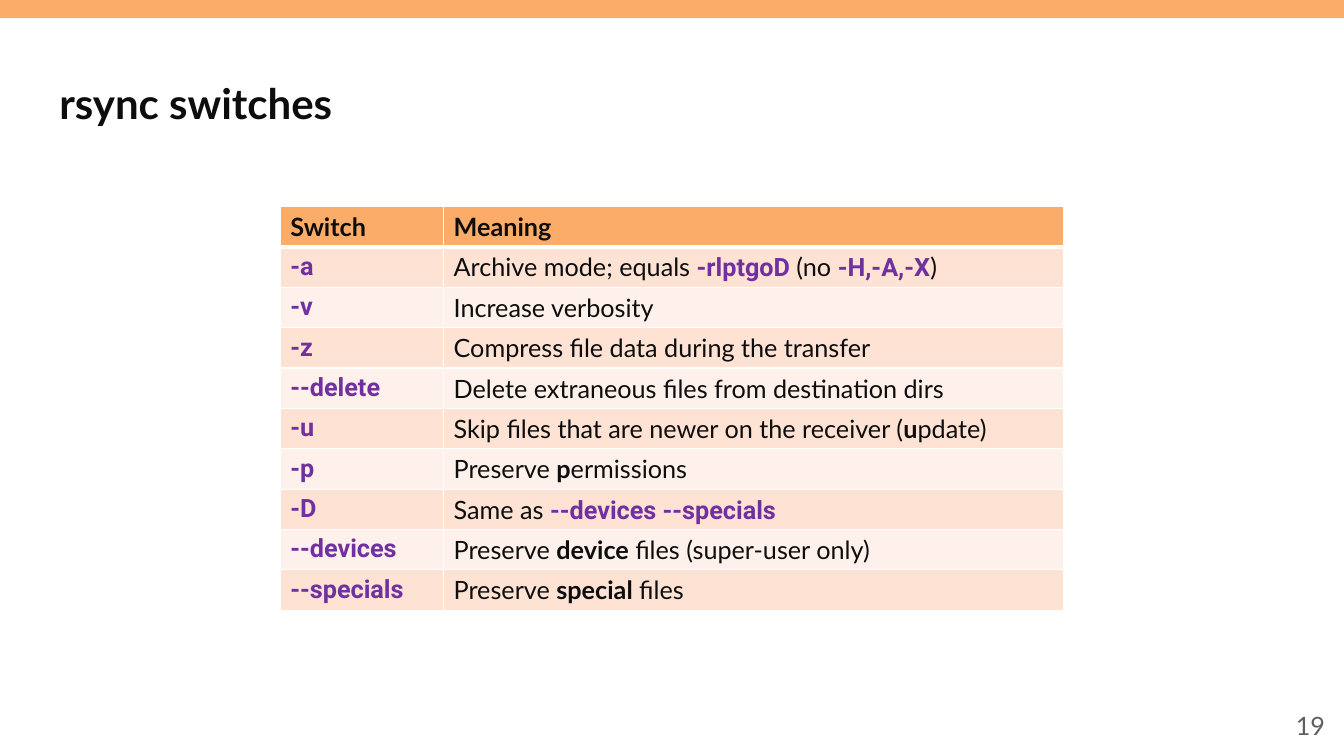
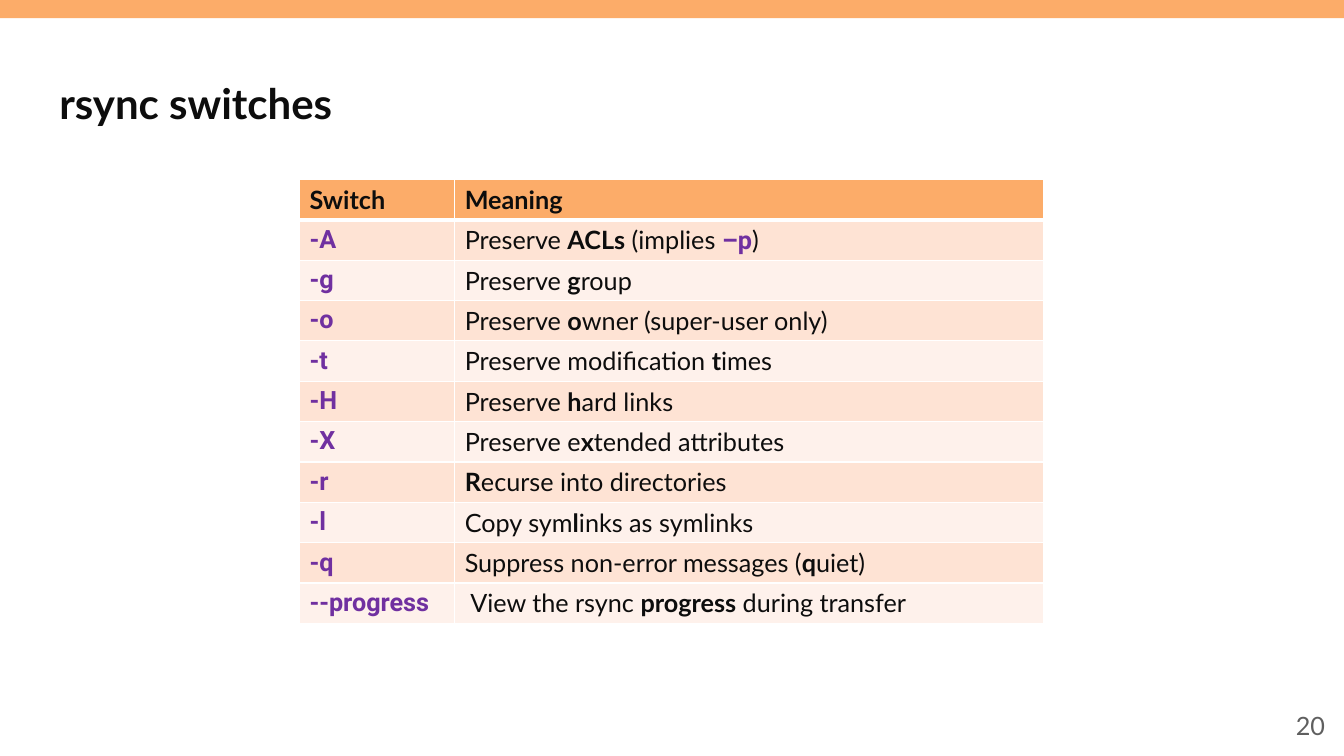
from lxml import etree
from pptx import Presentation
from pptx.dml.color import RGBColor
from pptx.enum.shapes import MSO_SHAPE
from pptx.enum.text import MSO_ANCHOR, PP_ALIGN
from pptx.oxml.ns import qn
from pptx.util import Inches, Pt

RECT = MSO_SHAPE.RECTANGLE
MIDDLE = MSO_ANCHOR.MIDDLE
LEFT, RIGHT = PP_ALIGN.LEFT, PP_ALIGN.RIGHT

WIDE, HIGH = 13.33, 7.5
ORANGE, WHITE = "FCAC69", "FFFFFF"
BANDS = ("FEE3D4", "FEF1EB")
INK, GREY, PURPLE = "0D0D0D", "5F5F5F", "7030A0"
SANS, CODE = "Lato", "Roboto"
TITLE = "rsync switches"
HEAD = ("*Switch*", "*Meaning*")
ROW = 0.4

FIRST = [
    ("`-a`", "Archive mode; equals `-rlptgoD `(no `-H,-A,-X`)"),
    ("`-v`", "Increase verbosity"),
    ("`-z`", "Compress file data during the transfer"),
    ("`--delete`", "Delete extraneous files from destination dirs"),
    ("`-u`", "Skip files that are newer on the receiver (*u*pdate)"),
    ("`-p`", "Preserve *p*ermissions"),
    ("`-D`", "Same as `--devices --specials`"),
    ("`--devices`", "Preserve *device* files (super-user only)"),
    ("`--specials`", "Preserve *special* files"),
]
SECOND = [
    ("`-A`", "Preserve *ACLs* (implies `–p`)"),
    ("`-g`", "Preserve *g*roup"),
    ("`-o`", "Preserve *o*wner (super-user only)"),
    ("`-t`", "Preserve modification *t*imes"),
    ("`-H`", "Preserve *h*ard links"),
    ("`-X`", "Preserve e*x*tended attributes"),
    ("`-r`", "*R*ecurse into directories"),
    ("`-l`", "Copy sym*l*inks as symlinks"),
    ("`-q`", "Suppress non-error messages (*q*uiet)"),
    ("`--progress`", " View the rsync *progress* during transfer"),
]
PAGES = [
    (19, (2.78, 2.05), (1.62, 6.15), FIRST),
    (20, (2.97, 1.78), (1.54, 5.84), SECOND),
]


def paint(target, color):
    """Give a fill or a font one solid colour."""
    if hasattr(target, "solid"):
        target.solid()
        target.fore_color.rgb = RGBColor.from_string(color)
    else:
        target.color.rgb = RGBColor.from_string(color)


def add_run(para, text, size, color=INK, bold=False, face=SANS):
    """Append one styled run to a paragraph."""
    run = para.add_run()
    run.text = text
    run.font.size = Pt(size)
    run.font.bold = bold
    run.font.name = face
    paint(run.font, color)


def add_marked(para, text, size):
    """Append runs, with `code` and *bold* marked in the text."""
    for i, chunk in enumerate(text.split("`")):
        if i % 2:
            add_run(para, chunk, size, PURPLE, True, CODE)
            continue
        for j, part in enumerate(chunk.split("*")):
            if part:
                add_run(para, part, size, bold=j % 2 == 1)


def add_label(slide, box, text, size, color, bold=False, align=LEFT):
    """Place one line of text, centred vertically in its box."""
    frame = slide.shapes.add_textbox(*map(Inches, box)).text_frame
    frame.word_wrap = True
    frame.vertical_anchor = MIDDLE
    para = frame.paragraphs[0]
    para.alignment = align
    add_run(para, text, size, color, bold)


def add_frame(slide, number):
    """Draw the top band, title and page number that slides share."""
    band = slide.shapes.add_shape(RECT, 0, 0, Inches(WIDE), Inches(0.18))
    band.shadow.inherit = False
    paint(band.fill, ORANGE)
    band.line.fill.background()
    add_label(slide, (0.49, 0.55, 12.36, 0.94), TITLE, 30, INK, True)
    add_label(slide, (10.24, 7, 3, 0.4), str(number), 18, GREY, align=RIGHT)


def add_edges(cell, top, bottom):
    """Draw white cell borders with the given top and bottom widths."""
    props = cell._tc.get_or_add_tcPr()
    for side, width in (("L", 1), ("R", 1), ("T", top), ("B", bottom)):
        line = etree.SubElement(props, qn("a:ln" + side), w=str(Pt(width)))
        fill = etree.SubElement(line, qn("a:solidFill"))
        etree.SubElement(fill, qn("a:srgbClr"), val=WHITE)


def add_grid(slide, spot, widths, rows):
    """Build a banded table of switches under a header row."""
    lines = [HEAD, *rows]
    size = (sum(widths), ROW * len(lines))
    table = slide.shapes.add_table(
        len(lines), len(widths), *map(Inches, spot + size)).table
    table.first_row = table.horz_banding = False
    for column, width in zip(table.columns, widths):
        column.width = Inches(width)
    for r, texts in enumerate(lines):
        table.rows[r].height = Inches(ROW)
        for c, text in enumerate(texts):
            cell = table.cell(r, c)
            add_edges(cell, 3 if r == 1 else 1, 3 if r == 0 else 1)
            paint(cell.fill, BANDS[(r - 1) % 2] if r else ORANGE)
            add_marked(cell.text_frame.paragraphs[0], text, 18)


def main():
    """Build and save the slides."""
    deck = Presentation()
    deck.slide_width, deck.slide_height = Inches(WIDE), Inches(HIGH)
    for number, spot, widths, rows in PAGES:
        slide = deck.slides.add_slide(deck.slide_layouts[6])
        add_frame(slide, number)
        add_grid(slide, spot, widths, rows)
    deck.save("out.pptx")


if __name__ == "__main__":
    main()
